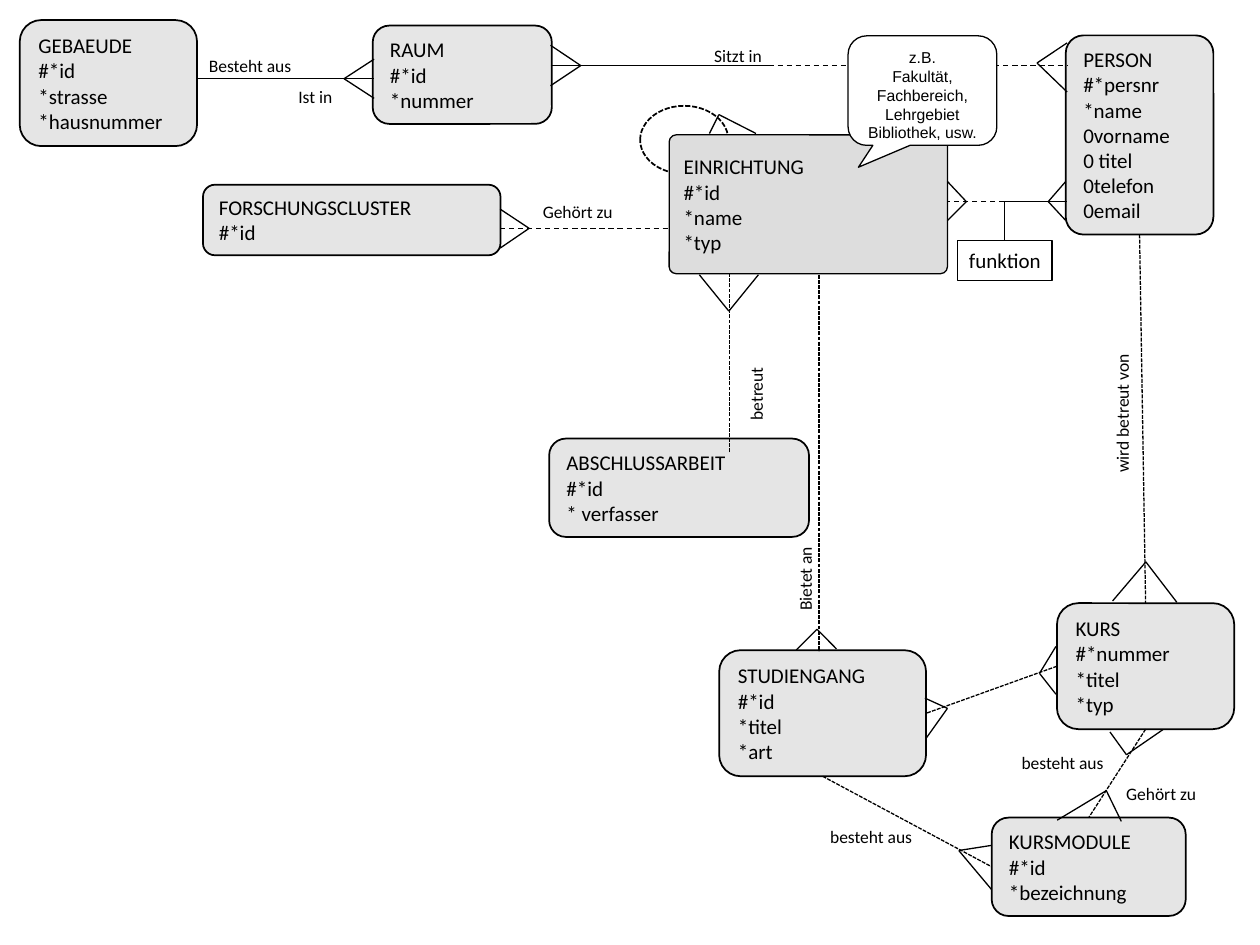
"""Build an entity-relationship diagram of a university on one slide."""
from lxml import etree
from pptx import Presentation
from pptx.dml.color import RGBColor
from pptx.enum.dml import MSO_LINE
from pptx.enum.shapes import MSO_CONNECTOR, MSO_SHAPE
from pptx.enum.text import MSO_ANCHOR, PP_ALIGN
from pptx.oxml.ns import qn
from pptx.util import Pt

DASH, FINE_DASH = MSO_LINE.DASH, MSO_LINE.SQUARE_DOT
STRAIGHT = MSO_CONNECTOR.STRAIGHT
ROUNDED, OVAL = MSO_SHAPE.ROUNDED_RECTANGLE, MSO_SHAPE.OVAL
RECTANGLE, CALLOUT = MSO_SHAPE.RECTANGLE, MSO_SHAPE.ROUNDED_RECTANGULAR_CALLOUT
MIDDLE, TOP = MSO_ANCHOR.MIDDLE, MSO_ANCHOR.TOP
LEFT, CENTER = PP_ALIGN.LEFT, PP_ALIGN.CENTER
TOP_SIDE, LEFT_SIDE, BOTTOM_SIDE, RIGHT_SIDE = range(4)
BLACK = RGBColor.from_string("000000")

prs = Presentation()
prs.slide_width, prs.slide_height = Pt(720), Pt(540)
shapes = prs.slides.add_slide(prs.slide_layouts[6]).shapes


def write(shape, lines, size, font="Calibri", align=LEFT, anchor=MIDDLE, wrap=True):
    frame = shape.text_frame
    frame.word_wrap, frame.vertical_anchor = wrap, anchor
    for index, line in enumerate(lines):
        paragraph = frame.paragraphs[0] if index == 0 else frame.add_paragraph()
        paragraph.alignment = align
        for part_index, part in enumerate(line.split("\n")):
            if part_index:
                paragraph.add_line_break()
            run = paragraph.add_run()
            run.text = part
            run.font.name, run.font.size = font, Pt(size)
            run.font.color.rgb = BLACK


def outline(shape, weight, dash=None):
    shape.line.color.rgb = BLACK
    shape.line.width = Pt(weight)
    if dash is not None:
        shape.line.dash_style = dash
    properties = shape._element.spPr
    if properties.find(qn("a:effectLst")) is None:
        etree.SubElement(properties, qn("a:effectLst"))


hierarchy = shapes.add_shape(OVAL, Pt(365.8), Pt(60.5), Pt(50.4), Pt(38.9))
hierarchy.fill.background()
outline(hierarchy, 1, FINE_DASH)

ENTITIES = [
    ("EINRICHTUNG", ["#*id", "*name", "*typ"], 382.4, 77.1, 159, 79.3),
    ("PERSON", ["#*persnr", "*name", "0vorname", "0 titel", "0telefon", "0email"],
     609, 20.2, 84.4, 113.8),
    ("FORSCHUNGSCLUSTER", ["#*id"], 116, 105.6, 170, 40.3),
    ("GEBAEUDE", ["#*id", "*strasse", "*hausnummer"], 11.3, 11.5, 101.3, 72),
    ("STUDIENGANG", ["#*id", "*titel", "*art"], 411, 371.6, 118.2, 72),
    ("KURS", ["#*nummer", "*titel", "*typ"], 604, 344.7, 101.3, 72),
    ("RAUM", ["#*id", "*nummer"], 213, 14.6, 102.4, 56.2),
    ("ABSCHLUSSARBEIT", ["#*id", "* verfasser"], 313.8, 250.6, 148.5, 56.2),
    ("KURSMODULE", ["#*id", "*bezeichnung"], 566.7, 467.2, 110.9, 56.2),
]
SOLID = {"EINRICHTUNG": "DDDDDD", "RAUM": "E6E6E6"}
CORNERS = {"EINRICHTUNG": 0.05, "PERSON": 0.12}
entity = {}
for name, attributes, x, y, width, height in ENTITIES:
    box = entity[name] = shapes.add_shape(ROUNDED, Pt(x), Pt(y), Pt(width), Pt(height))
    box.adjustments[0] = CORNERS.get(name, 0.17)
    box.fill.solid()
    box.fill.fore_color.rgb = RGBColor.from_string(SOLID.get(name, "000000"))
    if name not in SOLID:
        color = box._element.spPr.find(qn("a:solidFill"))[0]
        etree.SubElement(color, qn("a:alpha"), val="10000")
    outline(box, 0.75 if name == "EINRICHTUNG" else 1)
    write(box, [name, *attributes], 12)

function_box = shapes.add_shape(RECTANGLE, Pt(547.2), Pt(137.5), Pt(54), Pt(22.7))
function_box.fill.background()
outline(function_box, 0.75)
write(function_box, ["funktion"], 12, align=CENTER, wrap=False)
entity["funktion"] = function_box

RELATIONS = [
    (112.5, 45, 213.8, 45, None),
    (314.6, 37.5, 439.2, 37.5, None),
    (439.2, 37.5, 609.8, 37.5, DASH),
    (285.8, 130.5, 382.3, 130.5, DASH),
    (573.8, 115.2, 609.8, 115.2, None),
    (573.8, 115.2, 541.4, 115.2, DASH),
    (468, 157, 468, 372.2, FINE_DASH),
    (416.7, 258.5, 416.7, 156.2, FINE_DASH),
]
CROWS_FEET = [
    (196.6, 45, 213.8, 33.8, 213.8, 56.2),
    (331.9, 37.5, 314.6, 25.9, 314.6, 49),
    (592.6, 36, 609.8, 24.5, 609.8, 52.6),
    (599, 115.2, 609, 103.7, 609, 126),
    (552.2, 115.2, 541.4, 103.7, 541.4, 126),
    (302.4, 130.5, 285.8, 119.5, 285.8, 141.8),
    (416.5, 177.8, 399.6, 157, 433.4, 157),
    (466.9, 359.6, 455, 371.5, 478, 370.8),
    (594, 384.8, 603.4, 369.4, 603.4, 396.7),
    (541.4, 404.8, 528.5, 398.9, 529.2, 421.9),
    (654.8, 321.1, 635.8, 343.4, 672.5, 344.2),
    (547.9, 486, 566.6, 483.1, 566.6, 508.3),
    (643.7, 431.3, 634.3, 418.3, 664.6, 416.9),
    (632.2, 451.8, 640.8, 469.4, 604.1, 468.7),
    (410.8, 65.5, 405.4, 76.3, 432, 76.3),
]
toes = [(tip_x, tip_y, x, y, None)
        for tip_x, tip_y, *ends in CROWS_FEET
        for x, y in (ends[:2], ends[2:])]
for x1, y1, x2, y2, dash in RELATIONS + toes:
    outline(shapes.add_connector(STRAIGHT, Pt(x1), Pt(y1), Pt(x2), Pt(y2)), 0.75, dash)

JOINED = [
    ("KURS", LEFT_SIDE, "STUDIENGANG", RIGHT_SIDE),
    ("PERSON", BOTTOM_SIDE, "KURS", TOP_SIDE),
    ("STUDIENGANG", BOTTOM_SIDE, "KURSMODULE", LEFT_SIDE),
    ("KURS", BOTTOM_SIDE, "KURSMODULE", TOP_SIDE),
]
for start, start_side, end, end_side in JOINED:
    link = shapes.add_connector(STRAIGHT, 0, 0, 0, 0)
    link.begin_connect(entity[start], start_side)
    link.end_connect(entity[end], end_side)
    outline(link, 0.75, FINE_DASH)

function_link = shapes.add_connector(STRAIGHT, Pt(574.2), Pt(115.2), Pt(574.2), Pt(137.5))
function_link.end_connect(function_box, TOP_SIDE)
outline(function_link, 0.75)

LABELS = [
    ("Besteht aus", 112.3, 28.1, 73.4, 0),
    ("Ist in", 163.4, 45.4, 73.4, 0),
    ("Sitzt in", 401, 22.3, 73.4, 0),
    ("Gehört zu", 303.1, 111.6, 73.4, 0),
    ("besteht aus", 467.3, 468.7, 67, 0),
    ("besteht aus", 576.7, 426.2, 67, 0),
    ("Gehört zu", 636.5, 444.2, 67, 0),
    ("Bietet an", 434.2, 320.4, 51.8, 270),
    ("wird betreut von", 592.6, 218.9, 97.2, 270),
    ("betreut", 398.2, 203.8, 67.7, 270),
]
for text, x, y, width, rotation in LABELS:
    label = shapes.add_textbox(Pt(x), Pt(y), Pt(width), Pt(19.4))
    label.rotation = rotation
    write(label, [text], 10, anchor=TOP)

examples = shapes.add_shape(CALLOUT, Pt(484.6), Pt(20.5), Pt(85), Pt(62.6))
for index, value in enumerate((-0.43, 0.7, 0.17)):
    examples.adjustments[index] = value
examples.fill.solid()
examples.fill.fore_color.rgb = RGBColor.from_string("FFFFFF")
outline(examples, 0.75)
write(examples, ["z.B.\nFakultät, Fachbereich,\nLehrgebiet\nBibliothek, usw."], 9,
      font="Arial", align=CENTER, anchor=TOP)

prs.save("out.pptx")
